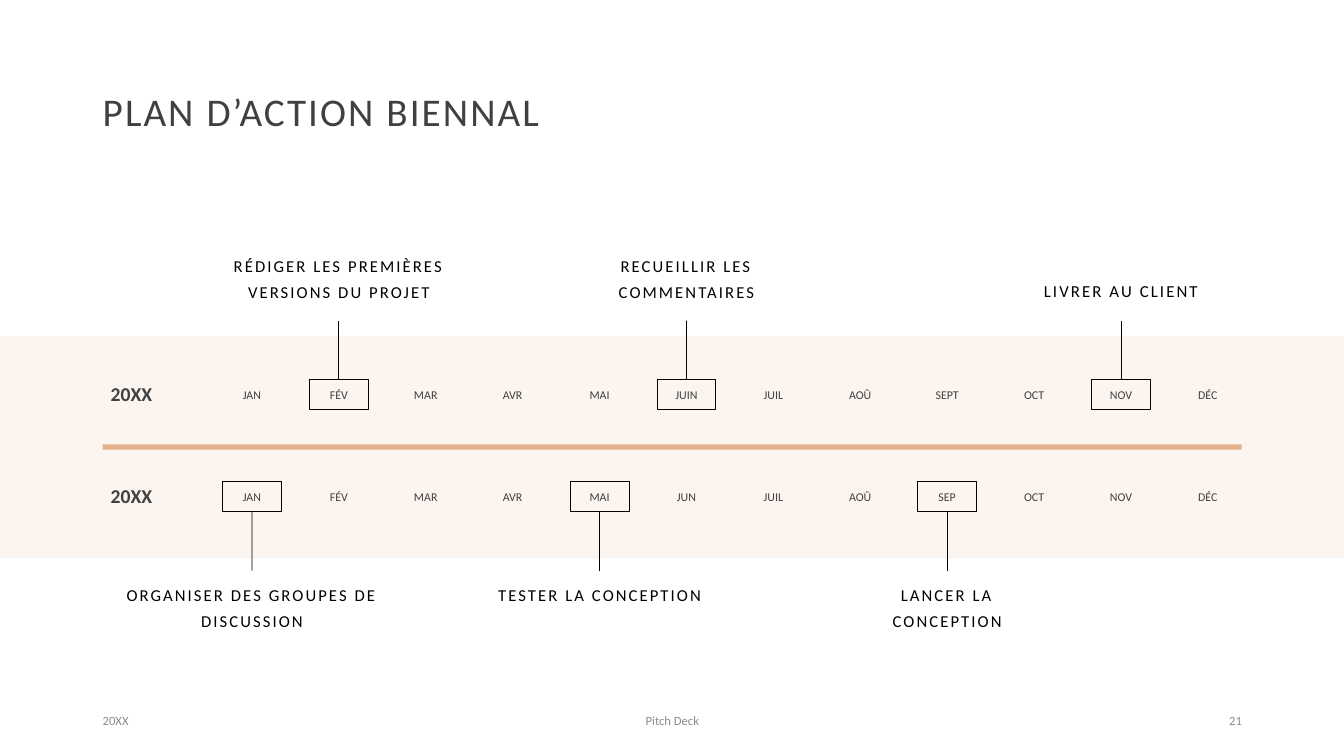
from lxml import etree
from pptx import Presentation
from pptx import util as u
from pptx.dml.color import RGBColor
from pptx.enum import shapes, text
from pptx.oxml.ns import qn

A, V = text.PP_ALIGN, text.MSO_ANCHOR
INK, BLACK, GREY, BAND, RULE = "404040", "000000", "8C8C8C", "FBF4EF", "E2B18D"

TITLE = "PLAN D’ACTION BIENNAL"
YEARS = [
    {
        "name": "20XX", "box_top": 9.55, "side": 0,
        "label_top": 6.17, "line_start": 8.08, "anchor": V.BOTTOM,
        "months": ["JAN", "FÉV", "MAR", "AVR", "MAI", "JUIN",
                   "JUIL", "AOÛ", "SEPT", "OCT", "NOV", "DÉC"],
        "milestones": [
            (1, "RÉDIGER LES PREMIÈRES VERSIONS DU PROJET", 7.39, 11.9, 1.3),
            (5, "RECUEILLIR LES COMMENTAIRES", 5.72, 11.9, 1.3),
            (10, "LIVRER AU CLIENT", 5.72, 12, 1.5),
        ],
    },
    {
        "name": "20XX", "box_top": 12.12, "side": 2,
        "label_top": 14.45, "line_start": 14.38, "anchor": V.TOP,
        "months": ["JAN", "FÉV", "MAR", "AVR", "MAI", "JUN",
                   "JUIL", "AOÛ", "SEP", "OCT", "NOV", "DÉC"],
        "milestones": [
            (0, "ORGANISER DES GROUPES DE DISCUSSION", 6.96, 11.9, 1.3),
            (4, "TESTER LA CONCEPTION", 5.72, 11.9, 1.3),
            (8, "LANCER LA CONCEPTION", 5.72, 11.9, 1.3),
        ],
    },
]
FOOTER = [
    ("20XX", 2.34, 7.62, A.LEFT),
    ("Pitch Deck", 11.23, 11.43, A.CENTER),
    ("21", 23.93, 7.62, A.RIGHT),
]

PAGE_W, PAGE_H = 33.87, 19.05
FIRST_MONTH, MONTH_STEP, MONTH_W = 6.35, 2.19, 1.78
BOX_W, BOX_H = 1.48, 0.76

prs = Presentation()
prs.slide_width, prs.slide_height = u.Cm(PAGE_W), u.Cm(PAGE_H)
s = prs.slides.add_slide(prs.slide_layouts[6])


def color(value):
    return RGBColor.from_string(value)


def add_text(words, x, y, w, h, size, ink=INK, align=A.LEFT, anchor=V.MIDDLE,
             spacing=1.0, bold=False, tracking=0):
    tf = s.shapes.add_textbox(u.Cm(x), u.Cm(y), u.Cm(w), u.Cm(h)).text_frame
    tf.word_wrap = True
    tf.vertical_anchor = anchor
    p = tf.paragraphs[0]
    p.alignment = align
    p.line_spacing = spacing
    r = p.add_run()
    r.text = words
    r.font.name = "Calibri"
    r.font.size = u.Pt(size)
    r.font.bold = bold
    r.font.color.rgb = color(ink)
    if tracking:
        r.font._element.set("spc", str(int(tracking * 100)))


def add_rect(x, y, w, h, fill=None):
    sp = s.shapes.add_shape(shapes.MSO_SHAPE.RECTANGLE,
                            u.Cm(x), u.Cm(y), u.Cm(w), u.Cm(h))
    sp.shadow.inherit = False
    if fill:
        sp.fill.solid()
        sp.fill.fore_color.rgb = color(fill)
        sp.line.fill.background()
    else:
        sp.fill.background()
        sp.line.color.rgb = color(BLACK)
        sp.line.width = u.Pt(0.5)
    return sp


def add_leader(x, y, box, side):
    line = s.shapes.add_connector(shapes.MSO_CONNECTOR.STRAIGHT,
                                  u.Cm(x), u.Cm(y), u.Cm(x), u.Cm(y))
    line.end_connect(box, side)
    line.line.color.rgb = color(BLACK)
    line.line.width = u.Pt(0.5)
    etree.SubElement(line._element.spPr, qn("a:effectLst"))


def month_center(index):
    return FIRST_MONTH + index * MONTH_STEP


add_rect(0, 8.48, PAGE_W, 5.59, BAND)
add_rect(2.59, 11.2, 28.7, 0.13, RULE)
add_text(TITLE, 2.34, 1.02, 29.21, 3.68, 28, spacing=0.9, tracking=1.5)

for year in YEARS:
    top = year["box_top"]
    add_text(year["name"], 2.54, top - 0.22, 2.03, 1.27, 14, spacing=0.9, bold=True)
    for i, month in enumerate(year["months"]):
        add_text(month, month_center(i) - MONTH_W / 2, top + 0.18, MONTH_W, 0.56,
                 8.5, align=A.CENTER, anchor=V.TOP, spacing=0.7)
    for i, label, width, size, spacing in year["milestones"]:
        x = month_center(i)
        add_text(label, x - width / 2, year["label_top"], width, 1.55, size, BLACK,
                 A.CENTER, year["anchor"], spacing, tracking=1.5)
        box = add_rect(x - BOX_W / 2, top, BOX_W, BOX_H)
        add_leader(x, year["line_start"], box, year["side"])

for words, x, width, align in FOOTER:
    add_text(words, x, 17.65, width, 1.02, 9, GREY, align)

prs.save("out.pptx")
